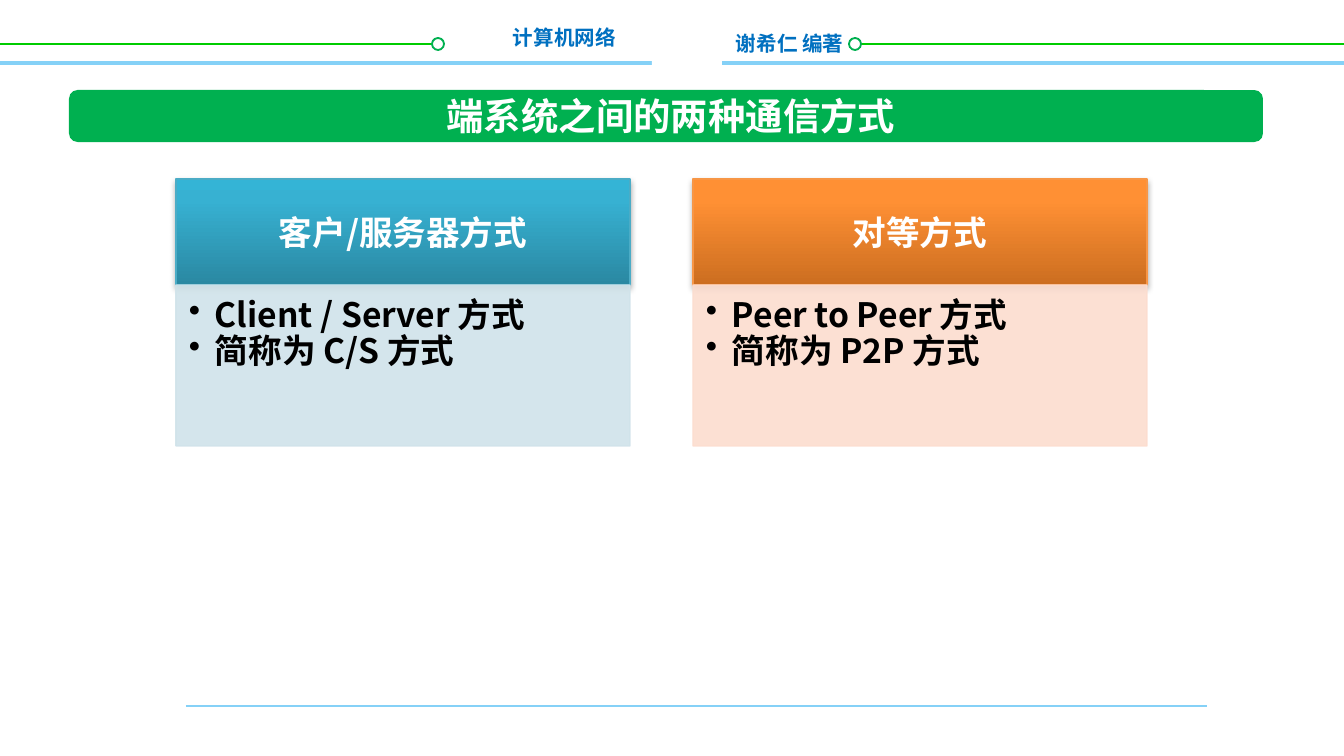
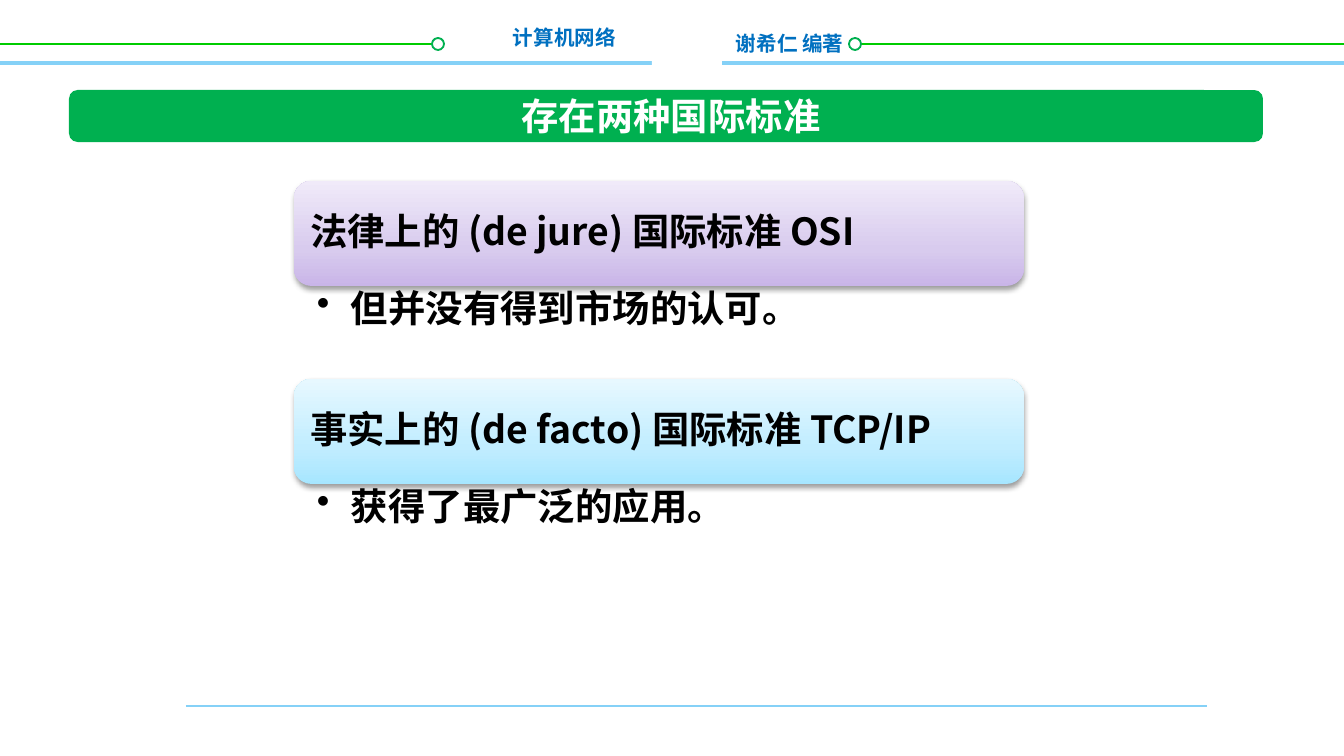
import pptx
import pptx.dml.color
import pptx.enum.shapes
import pptx.enum.text
import pptx.oxml.ns
import pptx.util
from lxml import etree

EMU_PER_PX = 914400 / 134.4
FONT = "Noto Sans CJK SC"
WHITE, BLACK = "FFFFFF", "000000"
GREEN, LIME, SKY, NAVY = "00B050", "00CC00", "85D1F7", "0070C0"

SHAPES = pptx.enum.shapes.MSO_SHAPE
ALIGN = pptx.enum.text.PP_ALIGN
ANCHOR = pptx.enum.text.MSO_ANCHOR
qn = pptx.oxml.ns.qn

COLUMNS = [
    ("客户/服务器方式", ["Client / Server 方式", "简称为 C/S 方式"],
     [(0, "2A88A2"), (80, "37B1D2"), (100, "34B4D6")], "4BACC6", "D0E3EA"),
    ("对等方式", ["Peer to Peer 方式", "简称为 P2P 方式"],
     [(0, "CC6E20"), (80, "FF9034"), (100, "FF9136")], "F79646", "FCDDCF"),
]
STANDARDS = [
    ("法律上的 (de jure) 国际标准 OSI", "但并没有得到市场的认可。",
     [(0, "C9B5E8"), (35, "D8CBEE"), (100, "F0EAF9")]),
    ("事实上的 (de facto) 国际标准 TCP/IP", "获得了最广泛的应用。",
     [(0, "A7E6FF"), (35, "C1EDFF"), (100, "E7F8FF")]),
]


def px(length):
    return pptx.util.Emu(round(length * EMU_PER_PX))


def rgb(value):
    return pptx.dml.color.RGBColor.from_string(value)


def apply(target, values):
    for name, value in values.items():
        setattr(target, name, value)


def add_child(parent, tag, **attributes):
    child = etree.SubElement(parent, qn(tag))
    for name, value in attributes.items():
        child.set(name, str(value))
    return child


def add_line(slide, left, right, y, color, width):
    connector = slide.shapes.add_connector(
        pptx.enum.shapes.MSO_CONNECTOR.STRAIGHT, px(left), px(y), px(right), px(y))
    connector.line.color.rgb = rgb(color)
    connector.line.width = pptx.util.Pt(width)
    add_child(connector._element.spPr, "a:effectLst")


def add_box(slide, preset, box, fill, line=None, width=0.75):
    shape = slide.shapes.add_shape(preset, *map(px, box))
    shape.shadow.inherit = False
    if isinstance(fill, str):
        shape.fill.solid()
        shape.fill.fore_color.rgb = rgb(fill)
    else:
        fill_gradient(shape, fill)
    if line:
        shape.line.color.rgb = rgb(line)
        shape.line.width = pptx.util.Pt(width)
    else:
        shape.line.fill.background()
    return shape


def fill_gradient(shape, stops):
    shape.fill.gradient()
    shape.fill.gradient_angle = 90
    stop_list = shape._element.spPr.find(".//" + qn("a:gsLst"))
    stop_list.clear()
    for position, color in stops:
        stop = add_child(stop_list, "a:gs", pos=position * 1000)
        add_child(stop, "a:srgbClr", val=color)


def cast_shadow(shape, opacity, distance):
    effects = shape._element.spPr.find(qn("a:effectLst"))
    shadow = add_child(effects, "a:outerShdw", blurRad=pptx.util.Pt(3.1),
                       dist=pptx.util.Pt(distance), dir=5400000, rotWithShape=0)
    color = add_child(shadow, "a:srgbClr", val=BLACK)
    add_child(color, "a:alpha", val=opacity * 1000)


def make_translucent(shape, opacity):
    for color in shape._element.spPr.iter(qn("a:srgbClr")):
        add_child(color, "a:alpha", val=opacity * 1000)


def write(shape, lines, size, color, align=ALIGN.LEFT, anchor=ANCHOR.TOP,
          insets=(13, 7, 13, 7), spacing=None, hang=0, wrap=True):
    frame = shape.text_frame
    sides = ("margin_left", "margin_top", "margin_right", "margin_bottom")
    apply(frame, dict(zip(sides, map(px, insets))))
    apply(frame, {"word_wrap": wrap, "vertical_anchor": anchor})
    for index, line in enumerate(lines):
        paragraph = frame.paragraphs[0] if index == 0 else frame.add_paragraph()
        if hang:
            add_bullet(paragraph, hang)
        apply(paragraph, {"alignment": align, "line_spacing": spacing})
        run = paragraph.add_run()
        run.text = line
        apply(run.font, {"name": FONT, "size": pptx.util.Pt(size), "bold": True})
        run.font.color.rgb = rgb(color)
        add_child(run._r.get_or_add_rPr(), "a:ea", typeface=FONT)


def add_bullet(paragraph, hang):
    paragraph.level = 1
    properties = paragraph._p.get_or_add_pPr()
    properties.set("marL", str(px(hang)))
    properties.set("indent", str(-px(hang)))
    add_child(properties, "a:buChar", char="•")


def add_text(slide, box, lines, size, color, **layout):
    write(slide.shapes.add_textbox(*map(px, box)), lines, size, color, **layout)


def add_header(slide):
    add_line(slide, 0, 435, 44, LIME, 1)
    add_text(slide, (723, 24, 156, 39), ["谢希仁 编著"], 11, NAVY)
    add_text(slide, (499, 18, 130, 39), ["计算机网络"], 11, NAVY,
             align=ALIGN.RIGHT, wrap=False)
    add_line(slide, 849, 1344, 44, LIME, 1)
    for left in (432, 849):
        add_box(slide, SHAPES.OVAL, (left, 38, 12, 12), WHITE, GREEN, 1)
    add_line(slide, 186, 1207, 706, SKY, 1.5)
    add_line(slide, 0, 1344, 63, SKY, 2)
    add_box(slide, SHAPES.RECTANGLE, (652, 18, 70, 69), WHITE)


def add_titled_slide(deck, title):
    slide = deck.slides.add_slide(deck.slide_layouts[6])
    add_header(slide)
    add_box(slide, SHAPES.ROUNDED_RECTANGLE, (69, 90, 1194, 52), GREEN)
    add_text(slide, (184, 90, 974, 52), [title], 20, WHITE,
             align=ALIGN.CENTER, anchor=ANCHOR.MIDDLE)
    return slide


def add_column(slide, left, heading, points, gradient, edge, tint):
    head = add_box(slide, SHAPES.RECTANGLE, (left, 179, 454, 106), gradient, edge)
    cast_shadow(head, 35, 1.8)
    write(head, [heading], 18, WHITE, align=ALIGN.CENTER, anchor=ANCHOR.MIDDLE,
          insets=(19, 11, 19, 11))
    body = add_box(slide, SHAPES.RECTANGLE, (left, 285, 454, 161), tint, tint)
    make_translucent(body, 90)
    write(body, points, 18, BLACK, insets=(13, 13, 19, 22), spacing=0.9, hang=26)


def add_standard(slide, top, heading, remark, gradient):
    head = add_box(slide, SHAPES.ROUNDED_RECTANGLE, (294, top, 730, 105), gradient)
    cast_shadow(head, 38, 1.6)
    write(head, [heading], 20, BLACK, anchor=ANCHOR.MIDDLE,
          insets=(11, 11, 11, 11), spacing=0.9)
    add_text(slide, (294, top + 105, 730, 93), [remark], 20, BLACK,
             insets=(23, 4, 22, 4), spacing=0.9, hang=34)


def main():
    deck = pptx.Presentation()
    apply(deck, {"slide_width": px(1344), "slide_height": px(756)})

    modes = add_titled_slide(deck, "端系统之间的两种通信方式")
    for index, column in enumerate(COLUMNS):
        add_column(modes, 176 + 517 * index, *column)

    standards = add_titled_slide(deck, "存在两种国际标准")
    for index, standard in enumerate(STANDARDS):
        add_standard(standards, 181 + 198 * index, *standard)

    deck.save("out.pptx")


if __name__ == "__main__":
    main()
